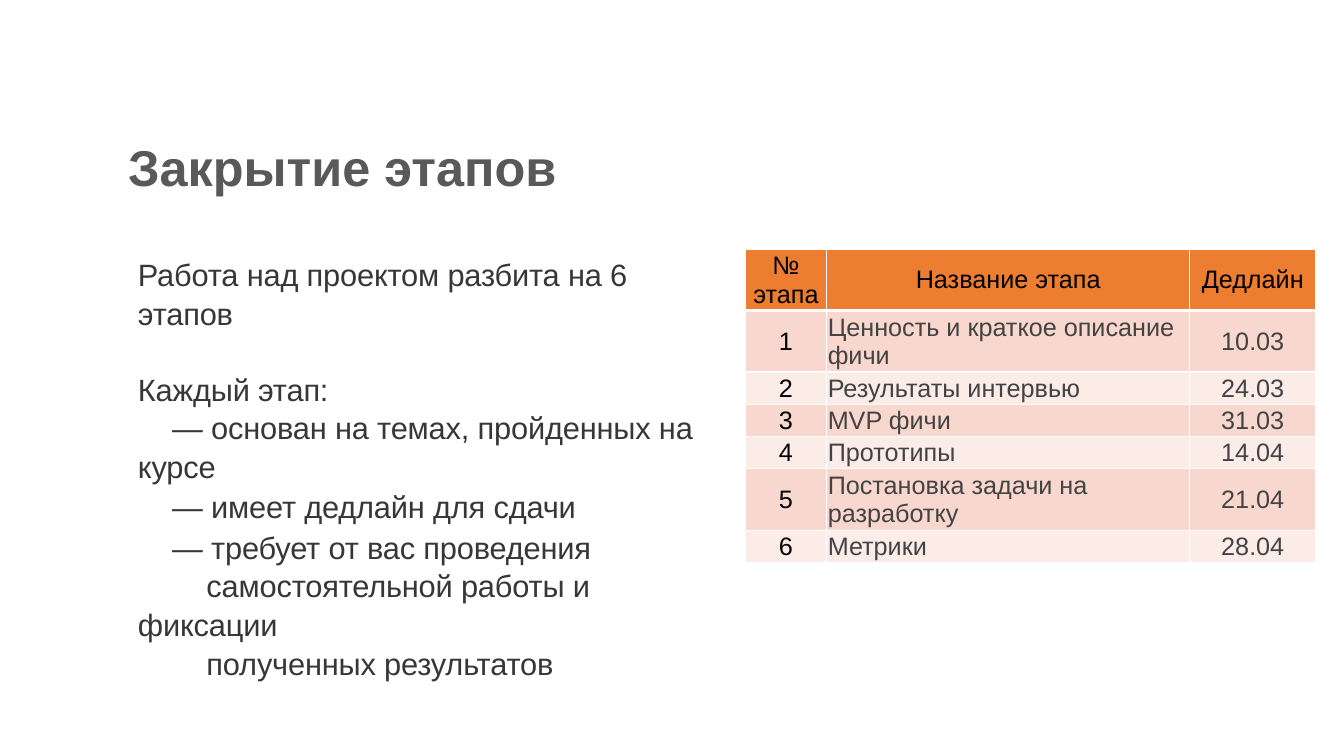
from lxml import etree
from pptx import Presentation
from pptx.dml.color import RGBColor
from pptx.enum.text import MSO_ANCHOR, PP_ALIGN
from pptx.oxml.ns import qn
from pptx.util import Inches, Pt

TOP, MID = MSO_ANCHOR.TOP, MSO_ANCHOR.MIDDLE
LEFT, CENTER = PP_ALIGN.LEFT, PP_ALIGN.CENTER
FONT = "Arial"
HEX = {
    "title": "595959", "body": "373737", "name": "434343", "black": "000000",
    "head": "ED7D31", "odd": "F8D7CE", "even": "FCECE8", "white": "FFFFFF",
}
BODY = [
    ("Работа над проектом разбита на 6 этапов", 0, 1),
    ("Каждый этап:", 0, 26.5),
    ("— основан на темах, пройденных на курсе", 0.34, 0),
    ("— имеет дедлайн для сдачи", 0.34, 1),
    ("— требует от вас проведения", 0.34, 1),
    ("самостоятельной работы и фиксации", 0.68, 0),
    ("полученных результатов", 0.68, 0),
]
HEAD = ("№ этапа", "Название этапа", "Дедлайн")
STAGES = [
    ("Ценность и краткое описание фичи", "10.03"),
    ("Результаты интервью", "24.03"),
    ("MVP фичи", "31.03"),
    ("Прототипы", "14.04"),
    ("Постановка задачи на разработку", "21.04"),
    ("Метрики", "28.04"),
]


class Deck:
    """Holds the style and the current slide, and adds elements to it."""

    def __init__(self):
        self.prs = Presentation()
        self.prs.slide_width = Inches(13.33)
        self.prs.slide_height = Inches(7.5)
        self.slide = self.prs.slides.add_slide(self.prs.slide_layouts[5])

    def run(self, para, text, size, color, bold=False):
        run = para.add_run()
        run.text = text
        font = run.font
        font.name, font.size, font.bold = FONT, Pt(size), bold
        font.color.rgb = RGBColor.from_string(HEX[color])
        return run

    def title(self, text, left, top, width, height):
        shape = self.slide.shapes.title
        shape.left, shape.top = Inches(left), Inches(top)
        shape.width, shape.height = Inches(width), Inches(height)
        frame = shape.text_frame
        frame.margin_left = frame.margin_right = 0
        frame.margin_top = frame.margin_bottom = 0
        frame.vertical_anchor = TOP
        para = frame.paragraphs[0]
        para.alignment, para.line_spacing = LEFT, Pt(42)
        self.run(para, text, 36, "title", True)

    def text(self, lines, left, top, width, height):
        box = self.slide.shapes.add_textbox(
            Inches(left), Inches(top), Inches(width), Inches(height))
        frame = box.text_frame
        frame.word_wrap = True
        for num, (line, indent, gap) in enumerate(lines):
            para = frame.add_paragraph() if num else frame.paragraphs[0]
            para.space_before, para.line_spacing = Pt(gap), 1.05
            props = para._p.get_or_add_pPr()
            props.set("marL", "0")
            props.set("indent", str(Inches(indent)))
            run = self.run(para, line, 22, "body")
            run._r.get_or_add_rPr().set("spc", "-10")

    def edge(self, cell, widths):
        props = cell._tc.get_or_add_tcPr()
        for num, (side, width) in enumerate(zip("LRTB", widths)):
            line = etree.Element(qn(f"a:ln{side}"), w=str(Pt(width)))
            fill = etree.SubElement(line, qn("a:solidFill"))
            etree.SubElement(fill, qn("a:srgbClr"), val=HEX["white"])
            props.insert(num, line)

    def cell(self, cell, text, fill, color, align, widths):
        cell.margin_left = cell.margin_right = cell.margin_top = Inches(0.01)
        cell.margin_bottom = 0
        cell.vertical_anchor = MID
        cell.fill.solid()
        cell.fill.fore_color.rgb = RGBColor.from_string(HEX[fill])
        para = cell.text_frame.paragraphs[0]
        para.alignment = align
        self.run(para, text, 18, color)
        self.edge(cell, widths)

    def table(self, rows, left, top, cols, heights):
        table = self.slide.shapes.add_table(
            len(rows), len(cols), Inches(left), Inches(top),
            Inches(sum(cols)), Inches(sum(heights))).table
        table.first_row = table.horz_banding = False
        for col, width in zip(table.columns, cols):
            col.width = Inches(width)
        for num, (row, height) in enumerate(zip(rows, heights)):
            table.rows[num].height = Inches(height)
            fill = ("odd" if num % 2 else "even") if num else "head"
            widths = (1, 1, 3 if num == 1 else 1, 1 if num else 3)
            for col, text in enumerate(row):
                color = "name" if num and col else "black"
                align = LEFT if num and col == 1 else CENTER
                self.cell(table.cell(num, col), text, fill, color, align, widths)


def main():
    deck = Deck()
    deck.title("Закрытие этапов", 1.27, 1.37, 9.43, 0.59)
    deck.text(BODY, 1.27, 2.47, 5.83, 3.46)
    rows = [HEAD] + [(str(num), *stage) for num, stage in enumerate(STAGES, 1)]
    deck.table(rows, 7.39, 2.47, (0.81, 3.6, 1.25), [0.24] + [0.32] * len(STAGES))
    deck.prs.save("out.pptx")


if __name__ == "__main__":
    main()
